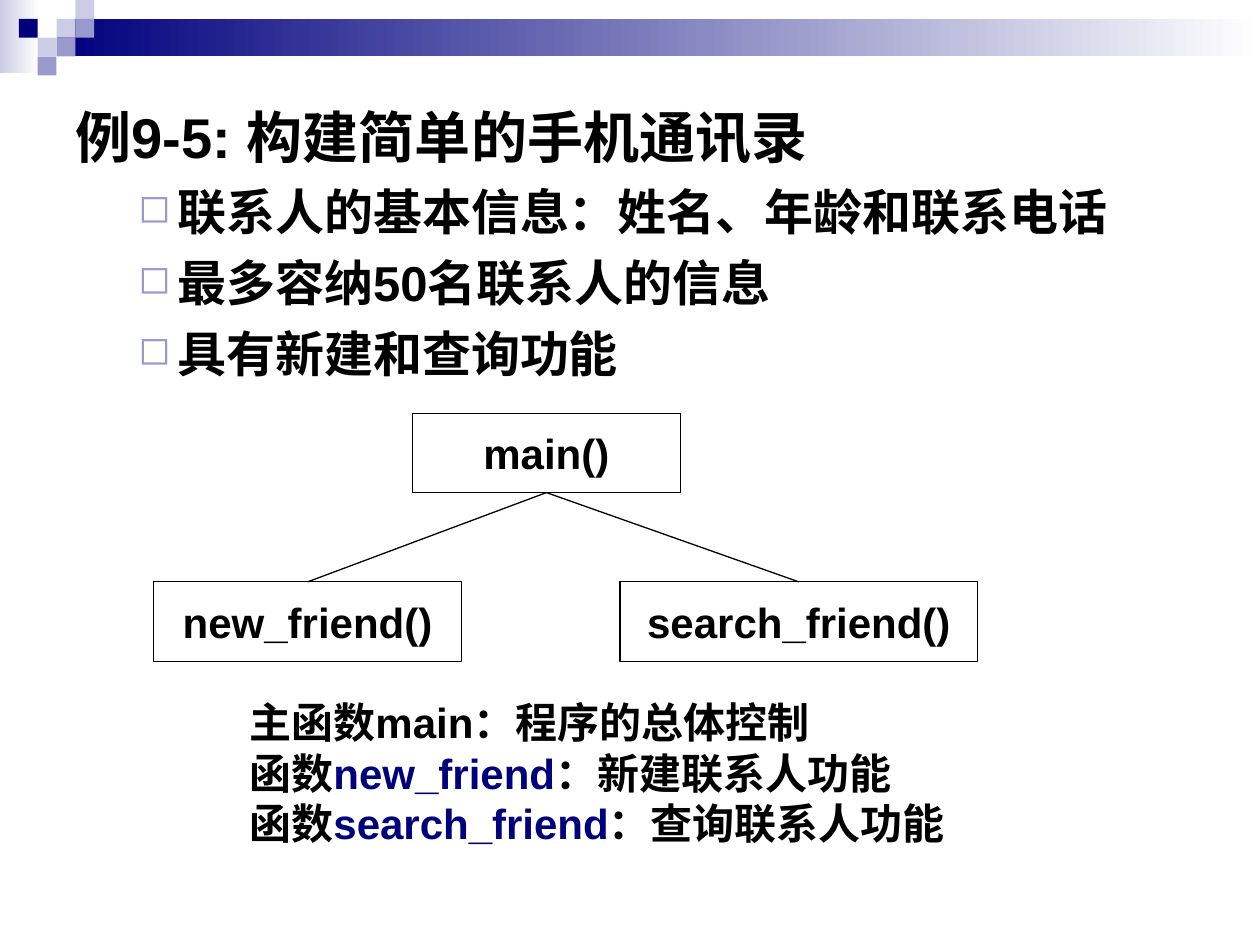
from lxml.etree import SubElement
from pptx import Presentation
from pptx.dml.color import RGBColor
from pptx.enum.shapes import MSO_CONNECTOR, MSO_SHAPE
from pptx.enum.text import MSO_ANCHOR, MSO_AUTO_SIZE, PP_ALIGN
from pptx.oxml.ns import qn
from pptx.util import Cm, Pt

COLORS = {
    "white": "FFFFFF",
    "black": "000000",
    "navy": "00007D",
    "violet": "9999CC",
    "pale": "CCCCE6",
}
UNIT = 0.38
TILES = [
    (3, 1, "pale"), (4, 0, "pale"), (4, 1, "violet"), (2, 2, "pale"),
    (1, 1, "navy"), (3, 2, "violet"), (2, 3, "violet"),
]
POINTS = ["联系人的基本信息：姓名、年龄和联系电话", "最多容纳50名联系人的信息", "具有新建和查询功能"]
NOTES = [
    [("主函数main：程序的总体控制", "black")],
    [("函数", "black"), ("new_friend", "navy"), ("：新建联系人功能", "black")],
    [("函数", "black"), ("search_friend", "navy"), ("：查询联系人功能", "black")],
]


def tint(name):
    return RGBColor.from_string(COLORS[name])


def add_run(para, text, size, color="black"):
    run = para.add_run()
    run.text = text
    font = run.font
    font.name, font.size, font.bold = "Arial", Pt(size), True
    font.color.rgb = tint(color)


def add_rect(slide, left, top, width, height):
    rect = slide.shapes.add_shape(
        MSO_SHAPE.RECTANGLE, Cm(left), Cm(top), Cm(width), Cm(height))
    rect.shadow.inherit = False
    rect.line.fill.background()
    return rect


def add_tile(slide, col, row, color):
    tile = add_rect(slide, col * UNIT, row * UNIT, UNIT, UNIT)
    tile.fill.solid()
    tile.fill.fore_color.rgb = tint(color)


def add_fade(slide, left, top, width, height, color):
    fill = add_rect(slide, left, top, width, height).fill
    fill.gradient()
    fill.gradient_angle = 180
    for stop, name, place in zip(fill.gradient_stops, ("white", color), (0, 1)):
        stop.color.rgb = tint(name)
        stop.position = place


def add_title(slide, text):
    title = slide.shapes.title
    title.left, title.top = Cm(1.27), Cm(1.93)
    title.width, title.height = Cm(22.86), Cm(1.6)
    frame = title.text_frame
    frame.auto_size = MSO_AUTO_SIZE.NONE
    frame.vertical_anchor = MSO_ANCHOR.TOP
    para = frame.paragraphs[0]
    para.alignment = PP_ALIGN.LEFT
    add_run(para, text, 32)


def add_text(slide, left, top, width, height, lines, size, margin, gap=0):
    box = slide.shapes.add_textbox(Cm(left), Cm(top), Cm(width), Cm(height))
    frame = box.text_frame
    frame.word_wrap = True
    for index, line in enumerate(lines):
        para = frame.add_paragraph() if index else frame.paragraphs[0]
        para.space_before = Pt(gap if index else 0)
        para._p.get_or_add_pPr().set("marL", str(Cm(margin)))
        for text, color in line:
            add_run(para, text, size, color)
    return frame


def add_marks(frame, indent):
    for para in frame.paragraphs:
        props = para._p.get_or_add_pPr()
        props.set("indent", str(-Cm(indent)))
        color = SubElement(props, qn("a:buClr"))
        SubElement(color, qn("a:srgbClr"), val=COLORS["violet"])
        SubElement(props, qn("a:buSzPct"), val="80000")
        SubElement(props, qn("a:buChar"), char="◻")


def add_node(slide, left, top, width, text):
    node = add_rect(slide, left, top, width, 1.6)
    node.fill.solid()
    node.fill.fore_color.rgb = tint("white")
    node.line.color.rgb = tint("black")
    node.line.width = Pt(0.75)
    frame = node.text_frame
    frame.word_wrap = False
    frame.vertical_anchor = MSO_ANCHOR.MIDDLE
    para = frame.paragraphs[0]
    para.alignment = PP_ALIGN.CENTER
    add_run(para, text, 24)
    return node


def add_link(slide, upper, lower):
    link = slide.shapes.add_connector(MSO_CONNECTOR.STRAIGHT, 0, 0, 0, 0)
    link.begin_connect(upper, 2)
    link.end_connect(lower, 0)
    link.line.color.rgb = tint("black")
    link.line.width = Pt(0.75)
    SubElement(link._element.spPr, qn("a:effectLst"))


def main():
    deck = Presentation()
    deck.slide_width, deck.slide_height = Cm(25.4), Cm(19.05)
    slide = deck.slides.add_slide(deck.slide_layouts[5])

    add_fade(slide, 0, 0, 0.79, 1.47, "pale")
    add_fade(slide, 3 * UNIT, UNIT, 25.4 - 3 * UNIT, 2 * UNIT, "navy")
    for tile in TILES:
        add_tile(slide, *tile)

    add_title(slide, "例9-5: 构建简单的手机通讯录")
    lines = [[(point, "black")] for point in POINTS]
    frame = add_text(slide, 1.27, 3.53, 22.86, 4.4, lines, 28, 2.06, 7)
    add_marks(frame, 0.79)

    root = add_node(slide, 8.31, 8.33, 5.41, "main()")
    for left, width, text in [(3.1, 6.2, "new_friend()"),
                              (12.5, 7.21, "search_friend()")]:
        add_link(slide, root, add_node(slide, left, 11.73, width, text))

    add_text(slide, 3.51, 13.92, 17.4, 3.3, NOTES, 24, 1.27)
    deck.save("out.pptx")


if __name__ == "__main__":
    main()
